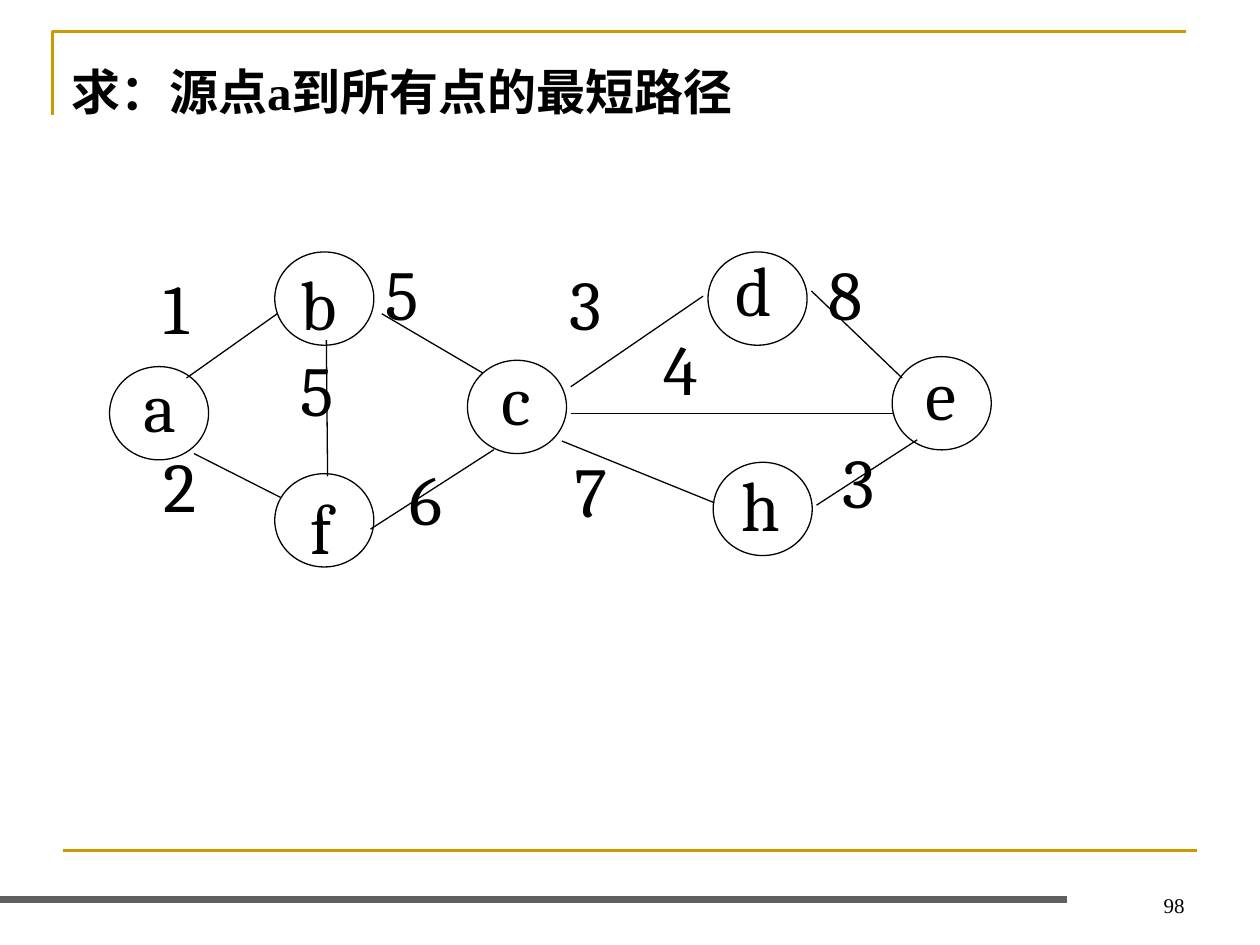
from lxml.etree import SubElement
from pptx import Presentation
from pptx.dml.color import RGBColor
from pptx.enum.shapes import MSO_CONNECTOR, MSO_SHAPE
from pptx.enum.text import MSO_ANCHOR, PP_ALIGN
from pptx.oxml.ns import qn
from pptx.util import Pt

rgb = RGBColor.from_string


def add_text(text, x, y, w, h, size=40, font="Cambria", bold=False,
             align=PP_ALIGN.JUSTIFY, anchor=MSO_ANCHOR.TOP):
    tf = s.shapes.add_textbox(Pt(x), Pt(y), Pt(w), Pt(h)).text_frame
    tf.word_wrap = True
    tf.vertical_anchor = anchor
    p = tf.paragraphs[0]
    p.alignment = align
    r = p.add_run()
    r.text = text
    r.font.size = Pt(size)
    r.font.bold = bold
    r.font.name = font
    r.font.color.rgb = rgb("000000")
    SubElement(r.font._element, qn("a:ea")).set("typeface", "Noto Sans CJK SC")


def add_line(x1, y1, x2, y2, color="000000", width=0.75):
    c = s.shapes.add_connector(MSO_CONNECTOR.STRAIGHT, Pt(x1), Pt(y1), Pt(x2), Pt(y2))
    c.line.color.rgb = rgb(color)
    c.line.width = Pt(width)
    SubElement(c._element.spPr, qn("a:effectLst"))


prs = Presentation()
prs.slide_width, prs.slide_height = Pt(720), Pt(540)
s = prs.slides.add_slide(prs.slide_layouts[6])

fb = s.shapes.build_freeform(Pt(30), Pt(66), scale=1)
fb.add_line_segments([(Pt(30), Pt(18)), (Pt(678), Pt(18))], close=False)
frame = fb.convert_to_shape()
frame.shadow.inherit = False
frame.fill.background()
frame.line.color.rgb = rgb("CC9900")
frame.line.width = Pt(1.5)

add_line(36, 486, 684, 486, color="CC9900", width=1.5)
add_line(0, 514, 610, 514, color="5F5F5F", width=4.5)
add_text("98", 516, 492, 168, 36, size=12, font="Times New Roman",
         align=PP_ALIGN.RIGHT, anchor=MSO_ANCHOR.BOTTOM)
add_text("求：源点a到所有点的最短路径", 33.8, 31.7, 521.3, 41, size=28,
         font="Times New Roman", bold=True, align=PP_ALIGN.LEFT)

nodes = [
    ("b", 157, 144, 164.9, 145.4, 83.5, 91.4),
    ("d", 404.6, 144, 413.3, 137.5, 94.3, 104.4),
    ("c", 267.1, 205.9, 279.4, 199.4, 94.3, 103.7),
    ("f", 157, 270.7, 170.6, 273.6, 55.4, 85),
    ("h", 407.5, 264.2, 416.9, 259.9, 94.3, 104.4),
    ("a", 62.6, 209.5, 74.9, 203.8, 78.5, 98.6),
    ("e", 509.8, 203.8, 522, 196.6, 94.3, 104.4),
]
for name, x, y, *label_box in nodes:
    sp = s.shapes.add_shape(MSO_SHAPE.OVAL, Pt(x), Pt(y), Pt(56.6), Pt(53.3))
    sp.shadow.inherit = False
    sp.fill.solid()
    sp.fill.fore_color.rgb = rgb("FFFFFF")
    sp.line.color.rgb = rgb("000000")
    sp.line.width = Pt(0.75)
    add_text(name, *label_box)

edges = [
    ("1", 86.4, 147.6, 158.4, 179.3, 106.6, 216),
    ("4", 372.2, 182.2, 326.2, 236.2, 510.5, 236.2),
    ("5", 213.1, 139.7, 218.2, 179.3, 275.8, 213.1),
    ("6", 226.8, 257, 282.2, 257, 211.7, 302.4),
    ("2", 86.4, 249.1, 110.9, 259.2, 160.6, 284.4),
    ("5", 164.9, 194.4, 186.5, 194.4, 187.2, 272.2),
    ("3", 318.2, 145.4, 401.8, 169.2, 326.2, 221),
    ("7", 321.1, 252, 321.1, 252, 408.2, 287.3),
    ("8", 466.6, 139.7, 463.7, 166.3, 515.5, 216),
    ("3", 474.5, 247, 524.2, 251.3, 466.6, 288.7),
]
for weight, x, y, *ends in edges:
    add_line(*ends)
    add_text(weight, x, y, 75.6, 104.4)

prs.save("out.pptx")
